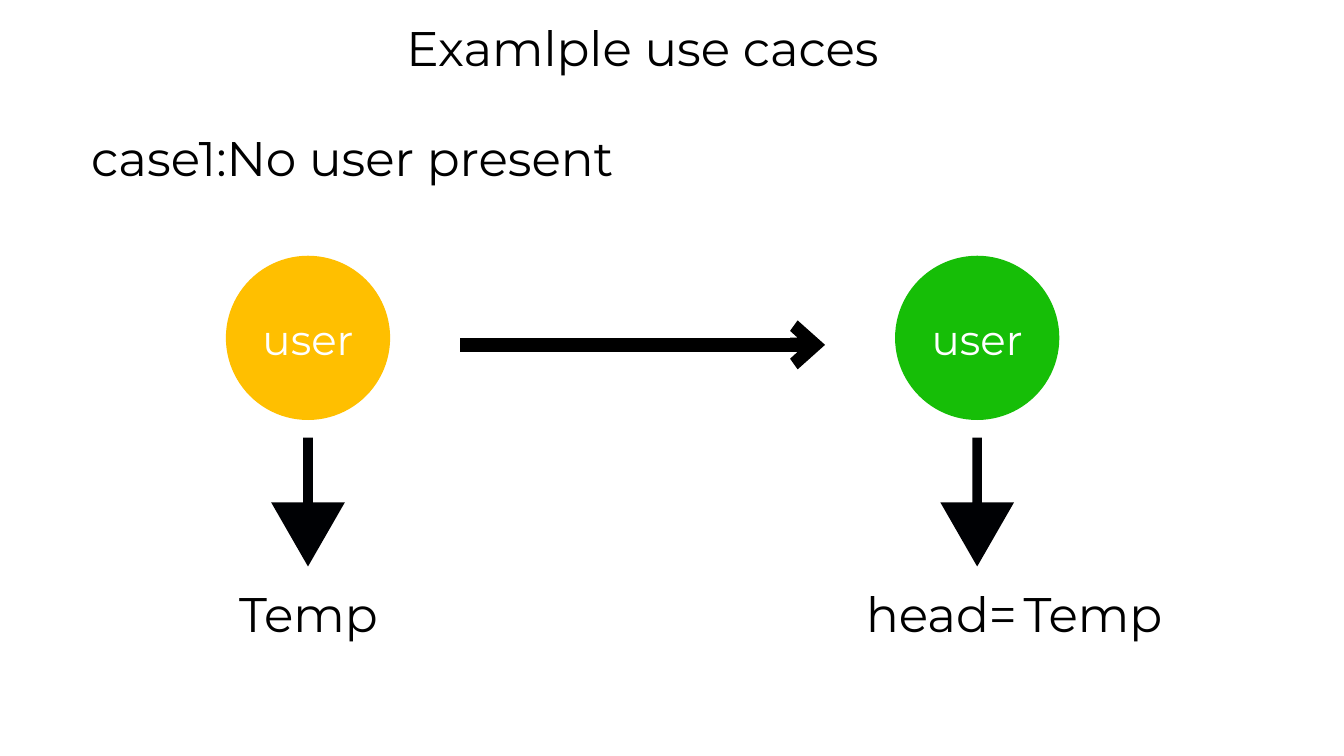
from dataclasses import dataclass

from lxml.etree import SubElement
from pptx import Presentation
from pptx.dml.color import RGBColor
from pptx.enum.shapes import MSO_CONNECTOR, MSO_SHAPE
from pptx.enum.text import MSO_ANCHOR, PP_ALIGN
from pptx.oxml.ns import qn
from pptx.util import Pt


@dataclass(frozen=True)
class Theme:
    font: str = "Montserrat"
    text: RGBColor = RGBColor(0x00, 0x00, 0x00)
    node_text: RGBColor = RGBColor(0xFF, 0xFF, 0xFF)
    new_user: RGBColor = RGBColor(0xFF, 0xBF, 0x00)
    head_user: RGBColor = RGBColor(0x16, 0xBE, 0x07)
    pointer: RGBColor = RGBColor(0x00, 0x01, 0x04)
    label_size: float = 52
    label_spacing: float = 61.5
    node_size: float = 45
    node_spacing: float = 53.1


THEME = Theme()
NODE_TOP, NODE_DIAMETER = 274, 176
POINTER_TOP, POINTER_WIDTH, POINTER_HEIGHT = 469, 79, 138
LABEL_TOP, LABEL_HEIGHT = 626.5, 61


def write_text(shape, text, size, spacing, color, anchor):
    frame = shape.text_frame
    frame.text = text
    frame.word_wrap = True
    frame.vertical_anchor = anchor
    frame.margin_left = frame.margin_right = 0
    frame.margin_top = frame.margin_bottom = 0
    paragraph = frame.paragraphs[0]
    paragraph.alignment = PP_ALIGN.CENTER
    paragraph.line_spacing = Pt(spacing)
    font = paragraph.runs[0].font
    font.name, font.size, font.color.rgb = THEME.font, Pt(size), color


def write_label(shape, text):
    write_text(shape, text, THEME.label_size, THEME.label_spacing,
               THEME.text, MSO_ANCHOR.TOP)


def set_title(slide, text, left, top, width):
    title = slide.shapes.title
    title.left, title.top = Pt(left), Pt(top)
    title.width, title.height = Pt(width), Pt(LABEL_HEIGHT)
    write_label(title, text)


def add_label(slide, text, left, top, width):
    box = slide.shapes.add_textbox(Pt(left), Pt(top), Pt(width), Pt(LABEL_HEIGHT))
    write_label(box, text)


def add_filled_shape(slide, kind, center, top, width, height, color):
    shape = slide.shapes.add_shape(
        kind, Pt(center - width / 2), Pt(top), Pt(width), Pt(height))
    shape.shadow.inherit = False
    shape.fill.solid()
    shape.fill.fore_color.rgb = color
    shape.line.fill.background()
    return shape


def add_user_node(slide, center, color):
    """Draw a user circle with the pointer arrow below it."""
    circle = add_filled_shape(slide, MSO_SHAPE.OVAL, center, NODE_TOP,
                              NODE_DIAMETER, NODE_DIAMETER, color)
    write_text(circle, "user", THEME.node_size, THEME.node_spacing,
               THEME.node_text, MSO_ANCHOR.MIDDLE)
    circle.text_frame.margin_top = Pt(3)
    pointer = add_filled_shape(slide, MSO_SHAPE.DOWN_ARROW, center, POINTER_TOP,
                               POINTER_WIDTH, POINTER_HEIGHT, THEME.pointer)
    pointer.adjustments[0] = 0.13
    pointer.adjustments[1] = 0.87


def add_transition_arrow(slide, start, end, y):
    connector = slide.shapes.add_connector(
        MSO_CONNECTOR.STRAIGHT, Pt(start), Pt(y), Pt(end), Pt(y))
    connector.line.color.rgb = THEME.text
    connector.line.width = Pt(15)
    SubElement(connector.line._get_or_add_ln(), qn("a:tailEnd"),
               type="arrow", w="med", len="sm")
    SubElement(connector._element.spPr, qn("a:effectLst"))


def main():
    presentation = Presentation()
    presentation.slide_width, presentation.slide_height = Pt(1440), Pt(810)
    slide = presentation.slides.add_slide(presentation.slide_layouts[5])

    set_title(slide, "Examlple use caces", 418, 20, 541)
    add_label(slide, "case1:No user present", 81, 137.5, 593)
    add_user_node(slide, 330, THEME.new_user)
    add_transition_arrow(slide, 493, 884, 369.5)
    add_user_node(slide, 1047, THEME.head_user)
    add_label(slide, "Temp", 252.5, LABEL_TOP, 156)
    add_label(slide, "head=", 924.5, LABEL_TOP, 168.5)
    add_label(slide, "Temp", 1093, LABEL_TOP, 156)

    presentation.save("out.pptx")


if __name__ == "__main__":
    main()
